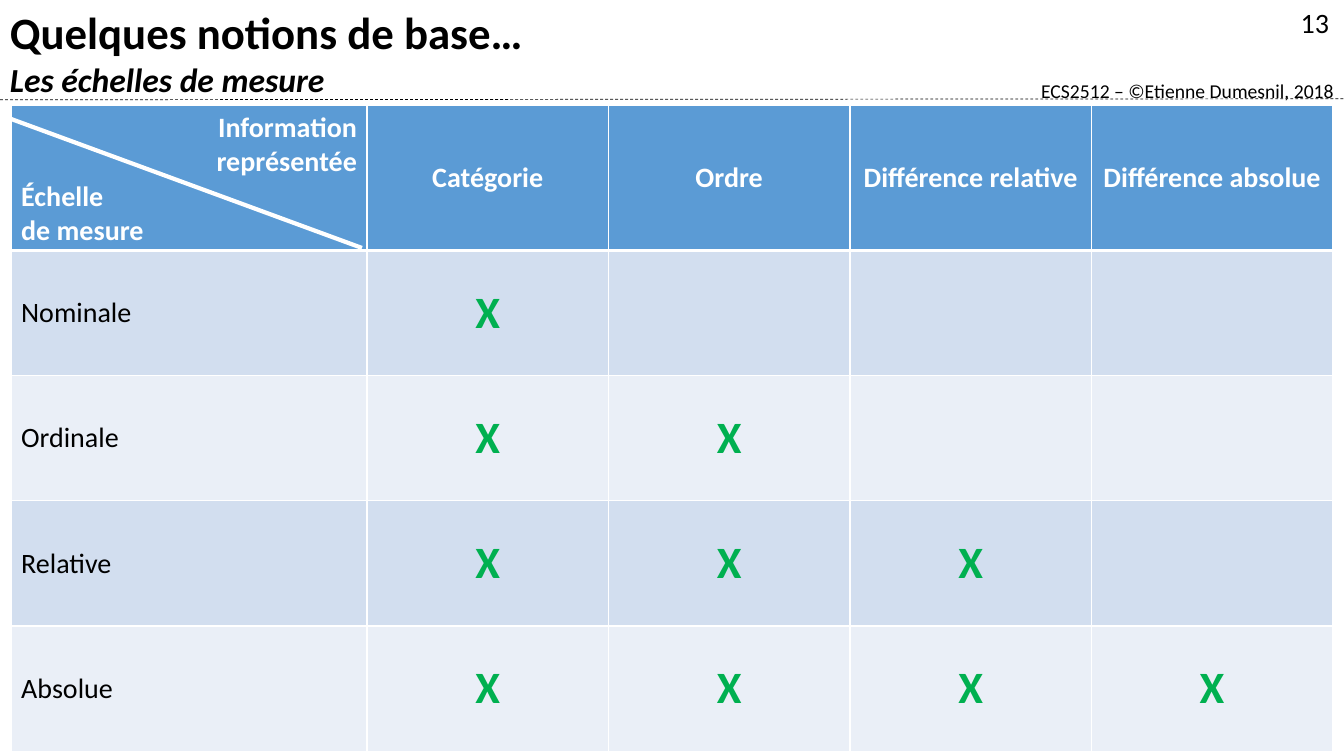
from lxml import etree
from pptx import Presentation
from pptx import util as u
from pptx.dml.color import RGBColor
from pptx.enum import dml, shapes, text
from pptx.oxml import ns

FONT = "Calibri"
COLORS = {"black": "000000", "white": "FFFFFF", "header": "5B9BD5",
          "band_dark": "D2DEEF", "band_light": "EAEFF7", "mark": "00B050"}
LEFT, CENTER, RIGHT = text.PP_ALIGN.LEFT, text.PP_ALIGN.CENTER, text.PP_ALIGN.RIGHT
TOP, MIDDLE, BOTTOM = text.MSO_ANCHOR.TOP, text.MSO_ANCHOR.MIDDLE, text.MSO_ANCHOR.BOTTOM

INFORMATION = ["Catégorie", "Ordre", "Différence relative", "Différence absolue"]
SCALES = ["Nominale", "Ordinale", "Relative", "Absolue"]


def rgb(name):
    return RGBColor.from_string(COLORS[name])


def format_paragraph(p, size, color="black", bold=False, align=LEFT):
    p.alignment = align
    for r in p.runs:
        r.font.name, r.font.size, r.font.bold = FONT, u.Pt(size), bold
        r.font.color.rgb = rgb(color)


def add_text(s, box, content, size, bold=False, align=LEFT, anchor=TOP):
    tf = s.shapes.add_textbox(*map(u.Inches, box)).text_frame
    tf.word_wrap = True
    tf.vertical_anchor = anchor
    p = tf.paragraphs[0]
    p.text = content
    format_paragraph(p, size, bold=bold, align=align)
    return p


def add_line(s, start, end, color, width, dash=None):
    line = s.shapes.add_connector(shapes.MSO_CONNECTOR.STRAIGHT,
                                  *map(u.Inches, start + end))
    line.line.color.rgb = rgb(color)
    line.line.width = u.Pt(width)
    if dash:
        line.line.dash_style = dash
    etree.SubElement(line._element.spPr, ns.qn("a:effectLst"))


def set_borders(cell, **widths):
    tcPr = cell._tc.get_or_add_tcPr()
    for i, side in enumerate("LRTB"):
        ln = etree.Element(ns.qn(f"a:ln{side}"), w=str(u.Pt(widths.get(side, 1))))
        fill = etree.SubElement(ln, ns.qn("a:solidFill"))
        etree.SubElement(fill, ns.qn("a:srgbClr"), val=COLORS["white"])
        tcPr.insert(i, ln)


def fill_cell(cell, fill, content="", size=20, color="black", bold=False, align=LEFT):
    cell.fill.solid()
    cell.fill.fore_color.rgb = rgb(fill)
    cell.vertical_anchor = MIDDLE
    if content:
        cell.text_frame.text = content
        for p in cell.text_frame.paragraphs:
            format_paragraph(p, size, color, bold, align)


def add_heading(s, box):
    x, y, w, h = box
    # Course credit
    add_text(s, (x + w - 3.36, y + h - 0.35, 3.36, 0.35),
             "ECS2512 – ©Etienne Dumesnil, 2018", 14, align=RIGHT, anchor=BOTTOM)
    # Title and subtitle
    p = add_text(s, box, "Quelques notions de base…\vLes échelles de mesure", 32, bold=True)
    subtitle = p.runs[1].font
    subtitle.size, subtitle.italic = u.Pt(24), True
    # Dashed rule and page number
    add_line(s, (x, y + 0.99), (x + w, y + 0.98), "black", 0.5, dml.MSO_LINE.DASH)
    add_text(s, (x + w - 0.66, y, 0.61, 0.44), "13", 20, align=RIGHT, anchor=MIDDLE)


def add_scale_table(s, box):
    x, y, w, h = box
    first_col, head_h = 3.53, 1.43
    n_rows, n_cols = len(SCALES) + 1, len(INFORMATION) + 1
    table = s.shapes.add_table(n_rows, n_cols, *map(u.Inches, box)).table
    for i, col in enumerate(table.columns):
        col.width = u.Inches((w - first_col) / (n_cols - 1) if i else first_col)
    for i, row in enumerate(table.rows):
        row.height = u.Inches((h - head_h) / (n_rows - 1) if i else head_h)

    # Header row
    corner = table.cell(0, 0)
    fill_cell(corner, "header", "Information\vreprésentée\nÉchelle\vde mesure",
              color="white", bold=True)
    corner.text_frame.paragraphs[0].alignment = RIGHT
    for c, label in enumerate(INFORMATION, 1):
        fill_cell(table.cell(0, c), "header", label, color="white", bold=True, align=CENTER)

    # Each scale represents one more kind of information than the last
    for r, scale in enumerate(SCALES, 1):
        band = "band_dark" if r % 2 else "band_light"
        fill_cell(table.cell(r, 0), band, scale)
        for c in range(1, n_cols):
            fill_cell(table.cell(r, c), band, "X" if c <= r else "",
                      32, "mark", True, CENTER)

    for r in range(n_rows):
        for c in range(n_cols):
            set_borders(table.cell(r, c), T=3 if r == 1 else 1, B=3 if r == 0 else 1)

    # Diagonal of the corner cell
    add_line(s, (x - 0.11, y + 0.09), (x + 3.48, y + 1.41), "white", 3)


def main():
    prs = Presentation()
    prs.slide_width, prs.slide_height = u.Inches(13.33), u.Inches(7.5)
    s = prs.slides.add_slide(prs.slide_layouts[6])
    add_heading(s, (0, 0, 13.33, 1.07))
    add_scale_table(s, (0.11, 1.05, 13.11, 6.4))
    prs.save("out.pptx")


if __name__ == "__main__":
    main()
